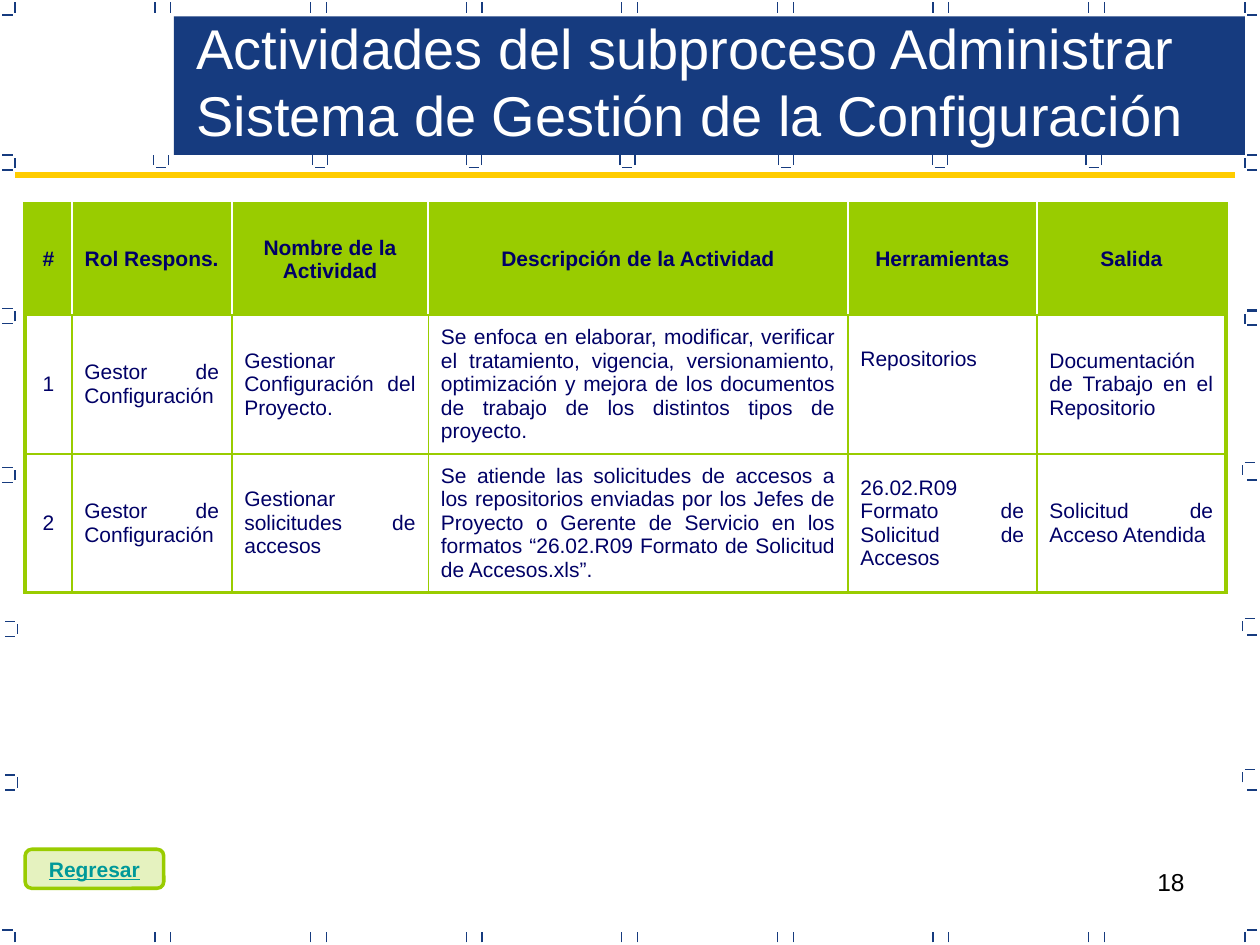
import lxml.etree
import pptx
import pptx.dml.color
import pptx.enum.shapes
import pptx.enum.text
import pptx.oxml
import pptx.oxml.ns
import pptx.util

Inches = pptx.util.Inches
Pt = pptx.util.Pt
ALIGN = pptx.enum.text.PP_ALIGN
ANCHOR = pptx.enum.text.MSO_ANCHOR
SHAPE = pptx.enum.shapes.MSO_SHAPE
qn = pptx.oxml.ns.qn

NAVY = "163B7F"
GREEN = "99CC00"
WHITE = "FFFFFF"
INK = "000066"
COLUMNS = [0.37, 1.27, 1.56, 3.33, 1.5, 1.5]
ROWS = [0.88, 1.09, 1.09]
ACTIVITIES = [
    ["#", "Rol Respons.", "Nombre de la Actividad", "Descripción de la Actividad",
     "Herramientas", "Salida"],
    ["1", "Gestor de Configuración", "Gestionar Configuración del Proyecto.",
     "Se enfoca en elaborar, modificar, verificar el tratamiento, vigencia, "
     "versionamiento, optimización y mejora de los documentos de trabajo de los "
     "distintos tipos de proyecto.",
     "Repositorios", "Documentación de Trabajo en el Repositorio"],
    ["2", "Gestor de Configuración", "Gestionar solicitudes de accesos",
     "Se atiende las solicitudes de accesos a los repositorios enviadas por los Jefes "
     "de Proyecto o Gerente de Servicio en los formatos “26.02.R09 Formato de "
     "Solicitud de Accesos.xls”.",
     "26.02.R09 Formato de Solicitud de Accesos", "Solicitud de Acceso Atendida"],
]


def color(value):
    return pptx.dml.color.RGBColor.from_string(value)


def apply(target, formats):
    for name, value in formats.items():
        setattr(target, name, value)


def write(frame, text, ink, align, formats):
    para = frame.paragraphs[0]
    para.alignment = align
    span = para.add_run()
    span.text = text
    apply(span.font, {"name": "Arial", **formats})
    span.font.color.rgb = color(ink)


def add_line(page, start, end, ink=NAVY, width=0.75):
    line = page.shapes.add_connector(
        pptx.enum.shapes.MSO_CONNECTOR.STRAIGHT, *map(Inches, start + end))
    line.line.color.rgb = color(ink)
    line.line.width = Pt(width)
    lxml.etree.SubElement(line._element.spPr, qn("a:effectLst"))


def add_upright(page, x, y):
    add_line(page, (x, y + 0.08), (x, y))


def add_dash(page, x, y):
    add_line(page, (x, y), (x + 0.08, y))


def add_border_marks(page, box):
    left, top, width, height = box
    right, bottom = left + width, top + height
    for y in (top, bottom - 0.08):
        for x in (left + 0.1, right - 0.1):
            add_upright(page, x, y)
        for step in range(7):
            x = 1.23 + 1.235 * step
            add_upright(page, x, y)
            add_upright(page, x + 0.125, y)
    for x in (left, right - 0.08):
        for y in (top + 0.1, bottom - 0.1):
            add_dash(page, x, y)

    for x, y in [(0.02, 1.23), (0.02, 2.45), (0.02, 3.71), (0.04, 4.93), (0.04, 6.15)]:
        add_dash(page, x, y)
        add_dash(page, x, y + 0.12)
        add_upright(page, x + 0.1, y + 0.02)
    for x, y in [(9.88, 1.23), (9.88, 2.47), (9.86, 3.67), (9.86, 4.91), (9.86, 6.11)]:
        add_dash(page, x + 0.02, y)
        add_upright(page, x, y + 0.02)
    for step in range(5):
        add_dash(page, right - 0.08, 1.35 + 1.23 * step)
    add_dash(page, right - 0.08, 2.46)

    for x in (1.22, 2.48, 3.7, 4.92, 6.18, 7.4, 8.62):
        add_upright(page, x, 1.23)
        add_upright(page, x + 0.12, 1.23)
        add_dash(page, x + 0.02, 1.33)


def add_text(page, box, text, ink, align, formats):
    frame = page.shapes.add_textbox(*map(Inches, box)).text_frame
    frame.word_wrap = True
    write(frame, text, ink, align, formats)


def add_title(page, box):
    left, top, width, height = box
    banner = page.shapes.add_shape(SHAPE.RECTANGLE, *map(Inches, box))
    banner.shadow.inherit = False
    banner.fill.solid()
    banner.fill.fore_color.rgb = color(NAVY)
    banner.line.fill.background()
    add_text(page, (left + 0.08, top - 0.07, width + 0.53, height + 0.07),
             "Actividades del subproceso Administrar Sistema de Gestión de la Configuración",
             WHITE, ALIGN.LEFT, {"size": Pt(32)})
    add_line(page, (0.12, 1.39), (9.8, 1.39), "FFCC00", 3)


def set_borders(cell, row, column):
    head = row == 0
    inner = (WHITE, 1.5) if head else (GREEN, 1)
    outer = (GREEN, 2.25)
    sides = {
        "L": outer if column == 0 else inner,
        "R": outer if column == len(COLUMNS) - 1 else inner,
        "T": outer if head else (GREEN, 1.5),
        "B": outer if row == len(ROWS) - 1 else (GREEN, 1.5),
    }
    properties = cell._tc.get_or_add_tcPr()
    for place, (side, (ink, width)) in enumerate(sides.items()):
        edge = lxml.etree.Element(qn("a:ln" + side), w=str(Pt(width)))
        fill = lxml.etree.SubElement(edge, qn("a:solidFill"))
        lxml.etree.SubElement(fill, qn("a:srgbClr"), val=ink)
        properties.insert(place, edge)


def add_activities(page, box):
    table = page.shapes.add_table(len(ROWS), len(COLUMNS), *map(Inches, box)).table
    apply(table, {"first_row": False, "horz_banding": False})
    for column, width in zip(table.columns, COLUMNS):
        column.width = Inches(width)
    for row, height in zip(table.rows, ROWS):
        row.height = Inches(height)
    for row, texts in enumerate(ACTIVITIES):
        for column, text in enumerate(texts):
            cell = table.cell(row, column)
            head = row == 0
            cell.vertical_anchor = ANCHOR.MIDDLE
            if head:
                cell.fill.solid()
                cell.fill.fore_color.rgb = color(GREEN)
            else:
                cell.fill.background()
            align = ALIGN.CENTER if head or column == 0 else ALIGN.JUSTIFY
            write(cell.text_frame, text, INK, align, {"size": Pt(12), "bold": head})
            set_borders(cell, row, column)
    table.cell(1, 4).margin_bottom = Inches(0.45)


def add_return_button(page, box):
    button = page.shapes.add_shape(SHAPE.FLOWCHART_ALTERNATE_PROCESS, *map(Inches, box))
    button.shadow.inherit = False
    button.fill.solid()
    button.fill.fore_color.rgb = color(GREEN)
    tint = button._element.spPr.find(qn("a:solidFill"))[0]
    lxml.etree.SubElement(tint, qn("a:alpha"), val="25000")
    button.line.color.rgb = color(GREEN)
    button.line.width = Pt(2)
    apply(button.text_frame, {"word_wrap": False, "vertical_anchor": ANCHOR.MIDDLE})
    write(button.text_frame, "Regresar", "009999", ALIGN.CENTER,
          {"size": Pt(12), "bold": True, "underline": True})


def main():
    deck = pptx.Presentation()
    apply(deck, {"slide_width": Inches(10), "slide_height": Inches(7.5)})
    page = deck.slides.add_slide(deck.slide_layouts[6])
    add_text(page, (7.17, 6.83, 2.33, 0.52), "18", "000000", ALIGN.RIGHT, {"size": Pt(14)})
    add_border_marks(page, (0.02, 0.02, 9.96, 7.46))
    add_title(page, (1.38, 0.13, 8.5, 1.1))
    add_activities(page, (0.2, 1.62, 9.53, 3.06))
    add_return_button(page, (0.2, 6.74, 1.1, 0.31))
    deck.save("out.pptx")


if __name__ == "__main__":
    main()
